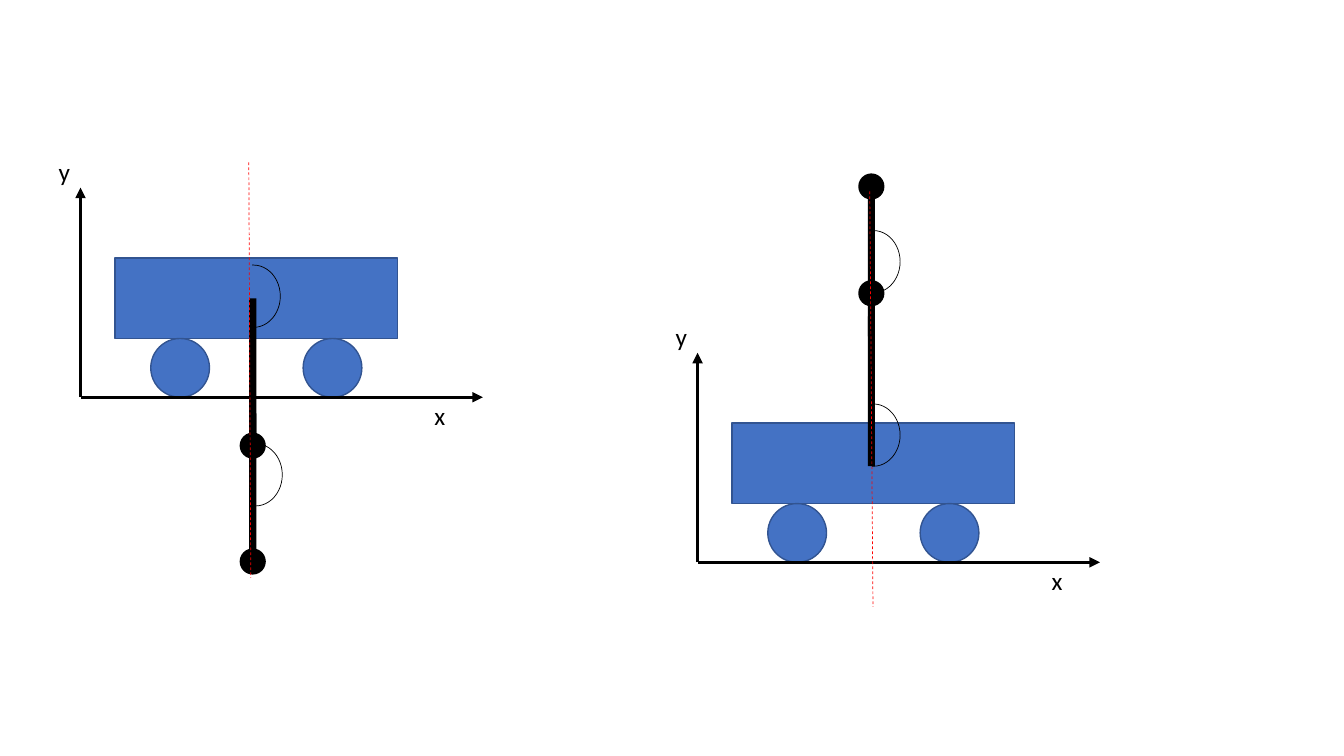
from pptx import Presentation
from pptx.dml.color import RGBColor
from pptx.enum import dml, shapes, text
from pptx.oxml import parse_xml
from pptx.oxml.ns import nsdecls, qn
from pptx.util import Cm, Pt

COLORS = {"cart": "4472C4", "edge": "325491", "ink": "000000", "vertical": "FF0000"}
SHAPE = shapes.MSO_SHAPE
WHEEL = 1.48
ROD_WIDTH, ROD_LENGTH = 0.18, 3.78
BOB = 0.66
ARC_WIDTH, ARC_HEIGHT = 1.35, 1.57

# Lengths in cm; everything except the origin is measured from the origin.
DOWNWARD = dict(
    origin=(2.03, 10.01), pendulum_x=4.34, rod_tops=(-2.49, 0.41), bob_tops=(0.89, 3.81),
    arcs=((4.41, 1.17), (4.36, -3.33)), vertical=((4.24, -5.92), (4.29, 4.55)))
UPRIGHT = dict(
    origin=(17.58, 14.17), pendulum_x=4.38, rod_tops=(-6.2, -9.47), bob_tops=(-7.11, -9.8),
    arcs=((4.43, -8.36), (4.43, -3.99)), vertical=((4.34, -9.35), (4.42, 1.12)))


def color(name):
    return RGBColor.from_string(COLORS[name])


def add_shape(group, kind, origin, box, fill=None, line=None, width=1):
    left, top, wide, high = box
    shape = group.shapes.add_shape(
        kind, Cm(origin[0] + left), Cm(origin[1] + top), Cm(wide), Cm(high))
    shape.shadow.inherit = False
    if fill:
        shape.fill.solid()
        shape.fill.fore_color.rgb = color(fill)
    else:
        shape.fill.background()
    if line:
        shape.line.color.rgb = color(line)
        shape.line.width = Pt(width)
    else:
        shape.line.fill.background()
    return shape


def add_line(group, origin, start, end, line, width):
    ends = [Cm(base + offset) for point in (start, end) for base, offset in zip(origin, point)]
    connector = group.shapes.add_connector(shapes.MSO_CONNECTOR.STRAIGHT, *ends)
    connector.line.color.rgb = color(line)
    connector.line.width = Pt(width)
    connector._element.spPr.append(parse_xml(f"<a:effectLst {nsdecls('a')}/>"))
    return connector


def add_label(group, origin, left, top, letter):
    box = group.shapes.add_textbox(
        Cm(origin[0] + left), Cm(origin[1] + top), Cm(0.8), Cm(1.02))
    box.text_frame.word_wrap = False
    box.text_frame.auto_size = text.MSO_AUTO_SIZE.SHAPE_TO_FIT_TEXT
    run = box.text_frame.paragraphs[0].add_run()
    run.text = letter
    run.font.name = "Calibri"
    run.font.size = Pt(18)
    run.font.color.rgb = color("ink")


def add_cart(group, origin):
    add_shape(group, SHAPE.RECTANGLE, origin, (0.87, -3.51, 7.12, 2.03), "cart", "edge")
    for left in (5.61, 1.77):
        add_shape(group, SHAPE.OVAL, origin, (left, -WHEEL, WHEEL, WHEEL), "cart", "edge")


def add_axes(group, origin):
    for end in ((0, -5.28), (10.14, 0)):
        axis = add_line(group, origin, (0, 0), end, "ink", 2.5)
        axis.line._get_or_add_ln().append(
            parse_xml(f"<a:tailEnd {nsdecls('a')} type='triangle'/>"))
    add_label(group, origin, -0.8, -6.2, "y")
    add_label(group, origin, 8.67, -0.05, "x")


def add_pendulum(group, origin, pendulum_x, rod_tops, bob_tops):
    for rod_top, bob_top in zip(rod_tops, bob_tops):
        add_shape(group, SHAPE.RECTANGLE, origin,
                  (pendulum_x - ROD_WIDTH / 2, rod_top, ROD_WIDTH, ROD_LENGTH), "ink")
        add_shape(group, SHAPE.OVAL, origin,
                  (pendulum_x - BOB / 2, bob_top, BOB, BOB), "ink")


def add_angles(group, origin, arcs, vertical):
    """Draw the dashed vertical and the half-turn arcs measured from it."""
    dashed = add_line(group, origin, *vertical, "vertical", 0.5)
    dashed.line.dash_style = dml.MSO_LINE.DASH
    for center_x, top in arcs:
        arc = add_shape(group, SHAPE.ARC, origin,
                        (center_x - ARC_WIDTH / 2, top, ARC_WIDTH, ARC_HEIGHT),
                        line="ink", width=0.5)
        arc.adjustments[0] = 160.476
        arc.adjustments[1] = 55.496


def add_diagram(slide, origin, pendulum_x, rod_tops, bob_tops, arcs, vertical):
    group = slide.shapes.add_group_shape()
    add_cart(group, origin)
    add_axes(group, origin)
    add_pendulum(group, origin, pendulum_x, rod_tops, bob_tops)
    add_angles(group, origin, arcs, vertical)


def main():
    presentation = Presentation()
    presentation.slide_width = Cm(33.87)
    presentation.slide_height = Cm(19.05)
    slide = presentation.slides.add_slide(presentation.slide_layouts[6])
    for diagram in (DOWNWARD, UPRIGHT):
        add_diagram(slide, **diagram)
    presentation.save("out.pptx")


if __name__ == "__main__":
    main()
